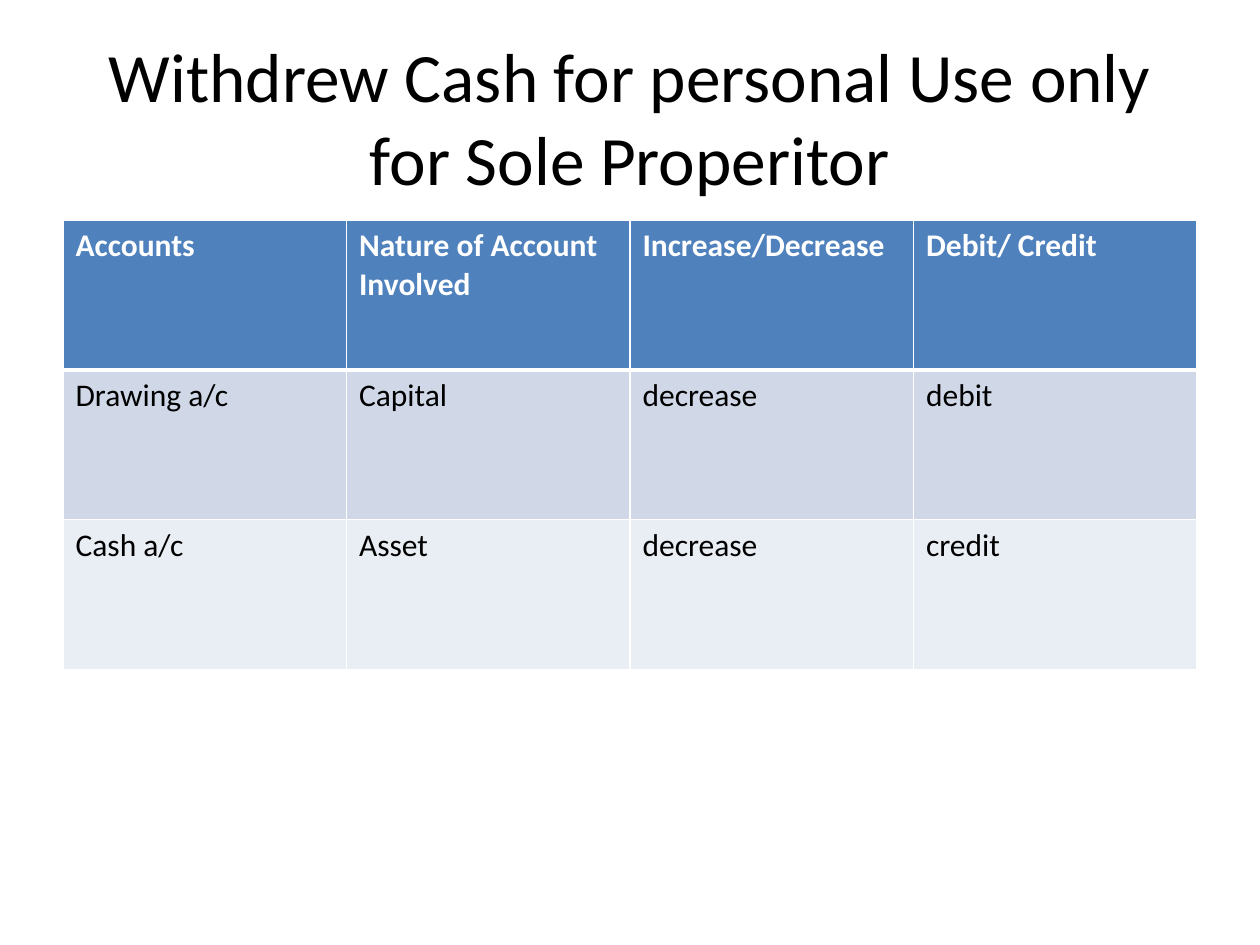
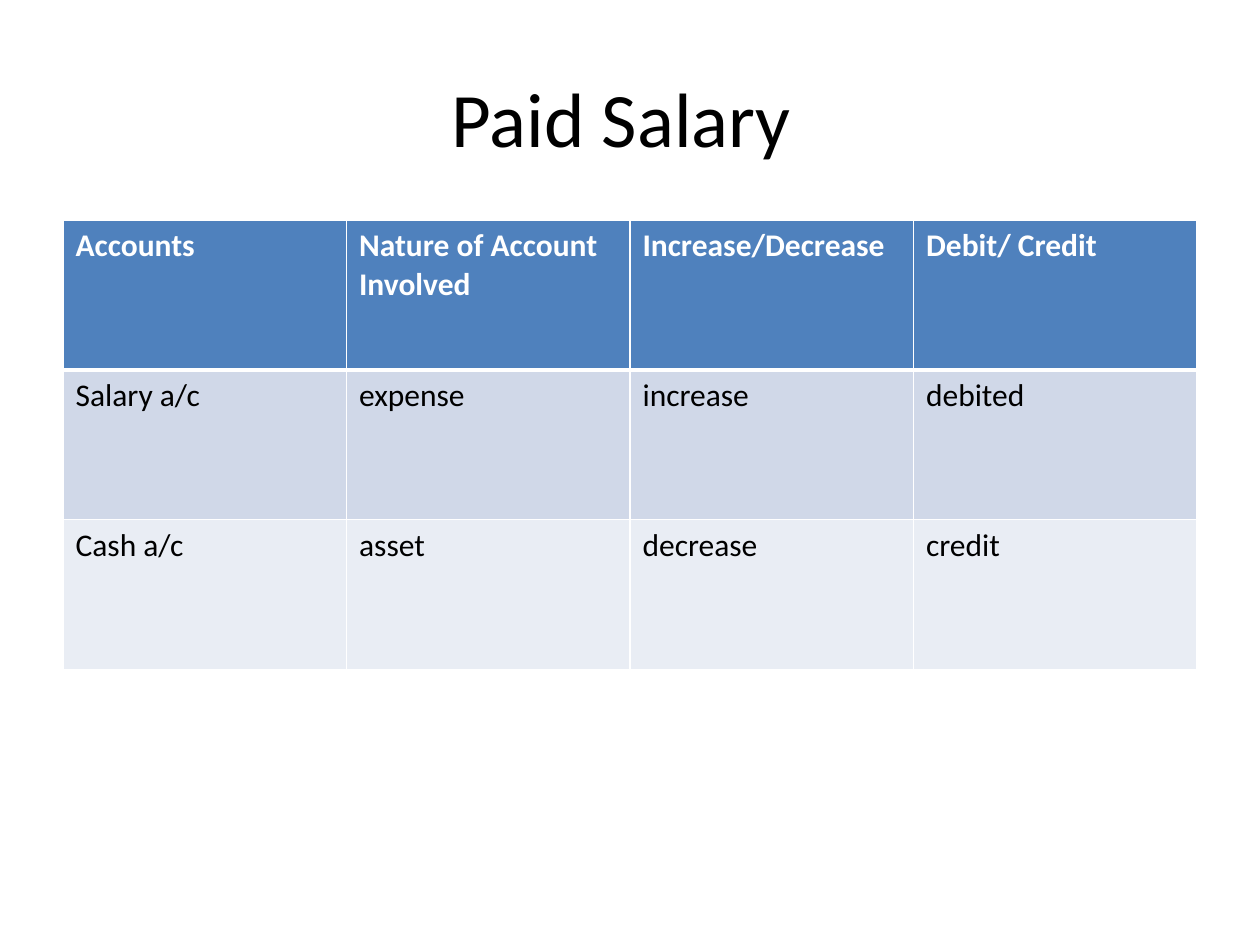
from dataclasses import dataclass

from lxml.etree import SubElement
from pptx import Presentation
from pptx.dml.color import RGBColor
from pptx.enum.text import MSO_ANCHOR, MSO_AUTO_SIZE, PP_ALIGN
from pptx.oxml.ns import qn
from pptx.util import Pt


@dataclass(frozen=True)
class Theme:
    font: str = "Calibri"
    text: str = "000000"
    white: str = "FFFFFF"
    header: str = "4F81BD"
    bands: tuple = ("D0D8E8", "E9EDF4")
    title_size: float = 44
    long_title_size: float = 39.6
    table_size: float = 18
    thin_line: float = 1
    header_line: float = 3


THEME = Theme()
TITLE_ONLY_LAYOUT = 5
LEFT, WIDTH = 36, 648
TITLE_TOP, TITLE_HEIGHT = 21.6, 90
TABLE_TOP, ROW_HEIGHT = 126, 85.5

HEADINGS = ("Accounts", "Nature of Account Involved", "Increase/Decrease", "Debit/ Credit")
TRANSACTIONS = (
    ("Withdrew Cash for personal Use only for Sole Properitor", THEME.long_title_size, (
        ("Drawing a/c", "Capital", "decrease", "debit"),
        ("Cash a/c", "Asset", "decrease", "credit"),
    )),
    ("Paid Salary ", THEME.title_size, (
        ("Salary a/c", "expense", "increase", "debited"),
        ("Cash a/c", "asset", "decrease", "credit"),
    )),
)


def set_attributes(target, values):
    for name, value in values.items():
        setattr(target, name, value)


def format_font(font, size, color, bold=False):
    set_attributes(font, {"name": THEME.font, "size": Pt(size), "bold": bold})
    font.color.rgb = RGBColor.from_string(color)


def add_title(slide, text, size):
    title = slide.shapes.title
    set_attributes(title, {"left": Pt(LEFT), "top": Pt(TITLE_TOP),
                           "width": Pt(WIDTH), "height": Pt(TITLE_HEIGHT)})
    frame = title.text_frame
    frame.text = text
    set_attributes(frame, {"word_wrap": True, "auto_size": MSO_AUTO_SIZE.NONE,
                           "vertical_anchor": MSO_ANCHOR.MIDDLE})
    paragraph = frame.paragraphs[0]
    paragraph.alignment = PP_ALIGN.CENTER
    format_font(paragraph.runs[0].font, size, THEME.text)


def set_borders(cell, top, bottom):
    """Draw white cell borders; the schema wants them before the fill."""
    properties = cell._tc.get_or_add_tcPr()
    thin = THEME.thin_line
    for side, width in {"lnL": thin, "lnR": thin, "lnT": top, "lnB": bottom}.items():
        line = SubElement(properties, qn(f"a:{side}"), w=str(Pt(width)))
        fill = SubElement(line, qn("a:solidFill"))
        SubElement(fill, qn("a:srgbClr"), val=THEME.white)


def format_cell(cell, text, row_index):
    is_header = row_index == 0
    set_borders(cell,
                top=THEME.header_line if row_index == 1 else THEME.thin_line,
                bottom=THEME.header_line if is_header else THEME.thin_line)
    fill_color = THEME.header if is_header else THEME.bands[(row_index - 1) % 2]
    cell.fill.solid()
    cell.fill.fore_color.rgb = RGBColor.from_string(fill_color)
    cell.text = text
    format_font(cell.text_frame.paragraphs[0].runs[0].font, THEME.table_size,
                THEME.white if is_header else THEME.text, is_header)


def add_accounts_table(slide, entries):
    rows = (HEADINGS, *entries)
    table = slide.shapes.add_table(
        len(rows), len(HEADINGS), Pt(LEFT), Pt(TABLE_TOP),
        Pt(WIDTH), Pt(ROW_HEIGHT * len(rows))).table
    for row_index, texts in enumerate(rows):
        for column_index, text in enumerate(texts):
            format_cell(table.cell(row_index, column_index), text, row_index)


def main():
    presentation = Presentation()
    set_attributes(presentation, {"slide_width": Pt(720), "slide_height": Pt(540)})
    for title, title_size, entries in TRANSACTIONS:
        slide = presentation.slides.add_slide(presentation.slide_layouts[TITLE_ONLY_LAYOUT])
        add_title(slide, title, title_size)
        add_accounts_table(slide, entries)
    presentation.save("out.pptx")


if __name__ == "__main__":
    main()
